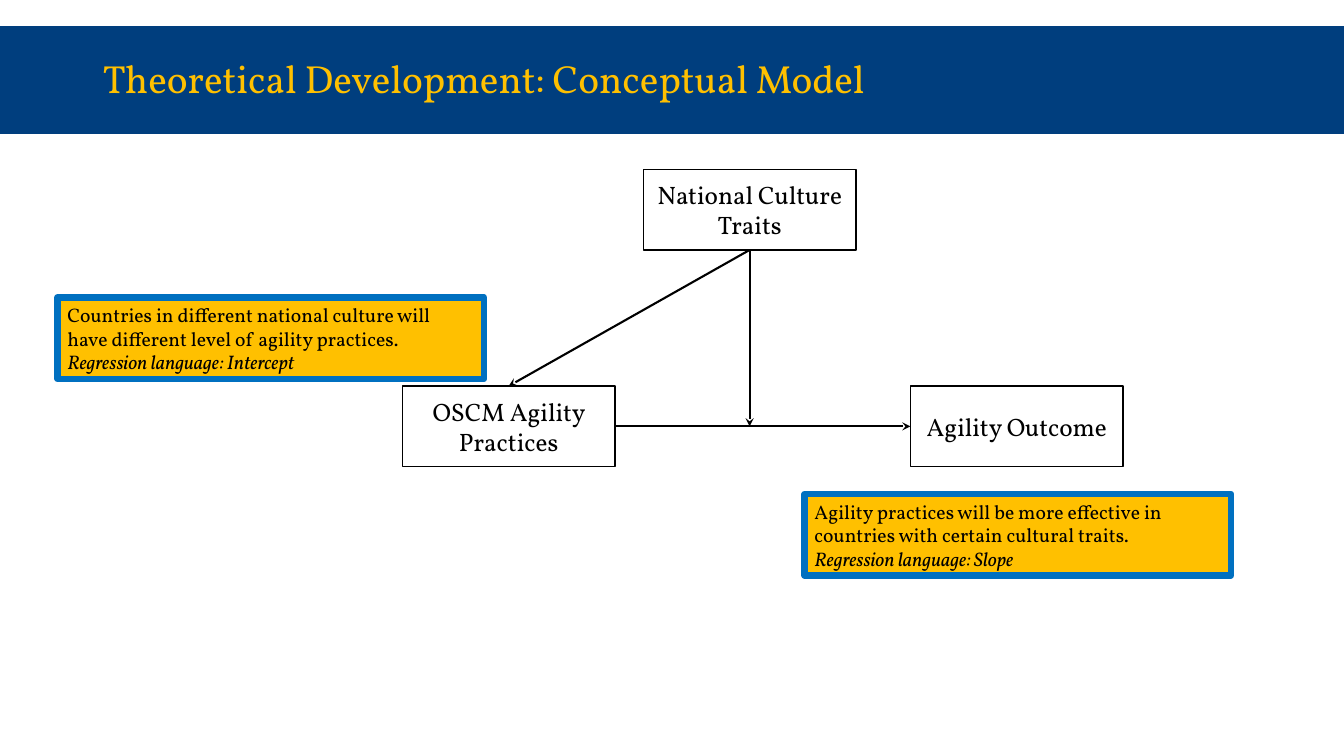
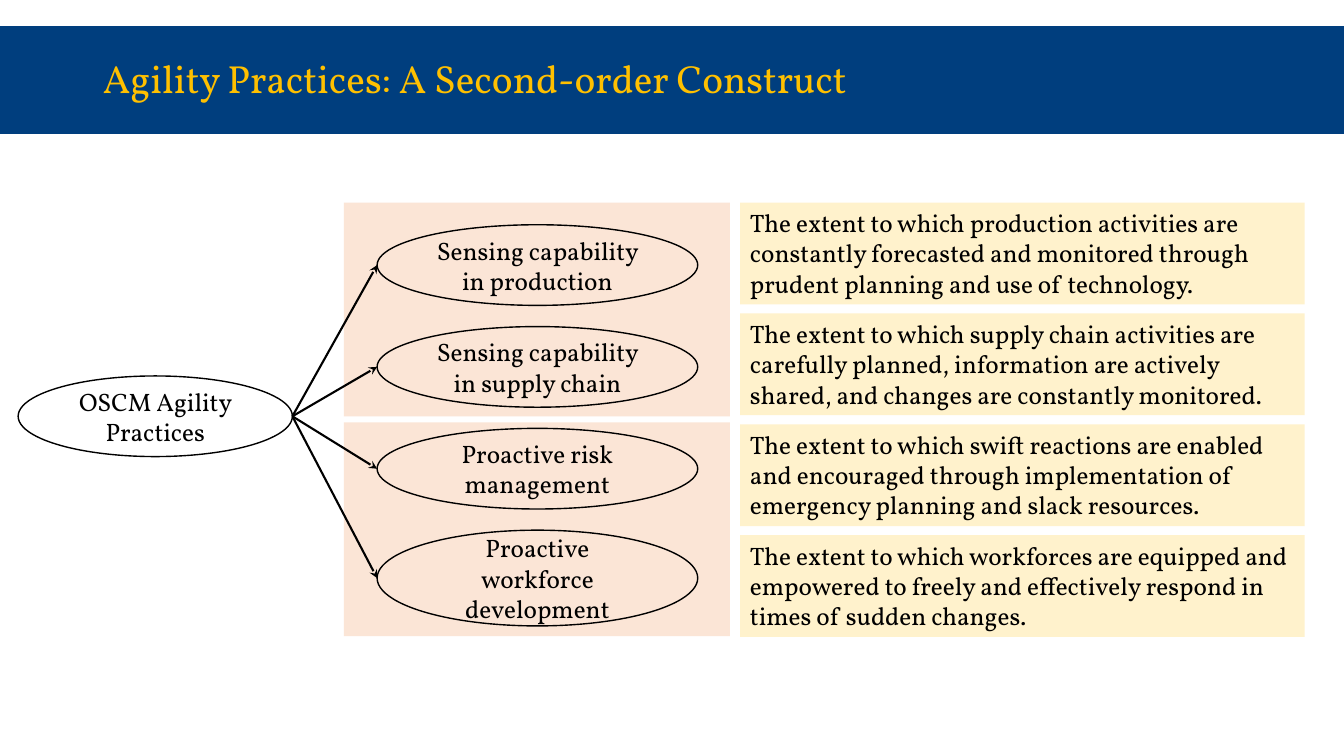
from dataclasses import dataclass

from lxml.etree import SubElement
from pptx import Presentation
from pptx.dml.color import RGBColor
from pptx.enum.shapes import MSO_CONNECTOR, MSO_SHAPE
from pptx.enum.text import MSO_ANCHOR, MSO_AUTO_SIZE, PP_ALIGN
from pptx.oxml.ns import qn
from pptx.util import Inches, Pt


@dataclass(frozen=True)
class Theme:
    font: str = "Vollkorn"
    band: str = "003E7E"
    gold: str = "FFC000"
    ink: str = "000000"
    frame: str = "0070C0"
    peach: str = "FBE5D6"
    cream: str = "FFF2CC"
    title_size: int = 28
    body_size: int = 18
    note_size: int = 14
    outline: float = 1
    arrow: float = 1.5
    note_outline: float = 4.5


THEME = Theme()
SLIDE_W, SLIDE_H = 13.33, 7.5
NODE_H = 0.8


def rgb(value):
    return RGBColor.from_string(value)


def add_run(p, text, size, color=THEME.ink, italic=None):
    r = p.add_run()
    r.text = text
    r.font.name = THEME.font
    r.font.size = Pt(size)
    r.font.color.rgb = rgb(color)
    r.font.italic = italic


def add_box(slide, box, kind=MSO_SHAPE.RECTANGLE, fill=None, line=None,
            width=THEME.outline):
    sp = slide.shapes.add_shape(kind, *map(Inches, box))
    sp.shadow.inherit = False
    if fill:
        sp.fill.solid()
        sp.fill.fore_color.rgb = rgb(fill)
    else:
        sp.fill.background()
    if line:
        sp.line.color.rgb = rgb(line)
        sp.line.width = Pt(width)
    else:
        sp.line.fill.background()
    return sp


def add_text(sp, lines, size, align=PP_ALIGN.LEFT, anchor=MSO_ANCHOR.MIDDLE):
    """Fill a shape with (text, italic) lines, one paragraph each."""
    tf = sp.text_frame
    tf.word_wrap = True
    tf.vertical_anchor = anchor
    for i, (text, italic) in enumerate(lines):
        p = tf.add_paragraph() if i else tf.paragraphs[0]
        p.alignment = align
        add_run(p, text, size, italic=italic)


def add_node(slide, box, text, kind=MSO_SHAPE.RECTANGLE):
    sp = add_box(slide, box, kind, line=THEME.ink)
    add_text(sp, [(text, None)], THEME.body_size, PP_ALIGN.CENTER)
    return sp


def add_note(slide, box, statement, term):
    sp = add_box(slide, box, fill=THEME.gold, line=THEME.frame,
                 width=THEME.note_outline)
    add_text(sp, [(statement, None), (term, True)], THEME.note_size)


def add_arrow(slide, start, end):
    cn = slide.shapes.add_connector(MSO_CONNECTOR.STRAIGHT,
                                    *map(Inches, (*start, *end)))
    cn.line.color.rgb = rgb(THEME.ink)
    cn.line.width = Pt(THEME.arrow)
    SubElement(cn.line._get_or_add_ln(), qn("a:tailEnd"), type="stealth")
    SubElement(cn.element.spPr, qn("a:effectLst"))
    return cn


def add_slide(prs, layout, title):
    slide = prs.slides.add_slide(layout)
    tf = slide.shapes.title.text_frame
    tf.vertical_anchor = MSO_ANCHOR.MIDDLE
    tf.auto_size = MSO_AUTO_SIZE.NONE
    p = tf.paragraphs[0]
    p.alignment = PP_ALIGN.LEFT
    p.line_spacing = 0.9
    add_run(p, title, THEME.title_size, THEME.gold)
    return slide


def style_layout(layout, slide):
    """Place the shared title and move one band behind it on the layout."""
    title = next(ph for ph in layout.placeholders
                 if ph.placeholder_format.idx == 0)
    title.left, title.top, title.width, title.height = map(
        Inches, (0.92, 0.4, 11.5, 0.8))
    band = add_box(slide, (0, 0.26, SLIDE_W, 1.07), fill=THEME.band)
    band.element.nvSpPr.cNvPr.set("id", "20")
    layout.shapes.element.insert(2, band.element)


def draw_model(slide, x, y):
    """Three linked boxes with two notes, from the model's top left."""
    w, row = 2.11, y + 2.15
    practices = add_node(slide, (x + 3.42, row, w, NODE_H),
                         "OSCM Agility Practices")
    outcome = add_node(slide, (x + 8.46, row, w, NODE_H), "Agility Outcome")
    culture = add_node(slide, (x + 5.81, y, w, NODE_H),
                       "National Culture Traits")

    # Arrows: practices to outcome, culture to that path and to practices
    mid = row + NODE_H / 2
    source = (x + 5.81 + w / 2, y + NODE_H)
    effect = add_arrow(slide, (x + 3.42 + w, mid), (x + 8.46, mid))
    effect.begin_connect(practices, 3)
    effect.end_connect(outcome, 1)
    slope = add_arrow(slide, source, (source[0], mid))
    slope.begin_connect(culture, 2)
    intercept = add_arrow(slide, source, (x + 3.42 + w / 2, row))
    intercept.begin_connect(culture, 2)
    intercept.end_connect(practices, 0)

    # Notes
    add_note(slide, (x, y + 1.27, 4.23, 0.81),
             "Countries in different national culture will have different "
             "level of agility practices.", "Regression language: Intercept")
    add_note(slide, (x + 7.41, y + 3.22, 4.23, 0.81),
             "Agility practices will be more effective in countries with "
             "certain cultural traits.", "Regression language: Slope")


DIMENSIONS = [
    ("Sensing capability in production", NODE_H,
     "The extent to which production activities are constantly forecasted "
     "and monitored through prudent planning and use of technology."),
    ("Sensing capability in supply chain", NODE_H,
     "The extent to which supply chain activities are carefully planned, "
     "information are actively shared, and changes are constantly monitored."),
    ("Proactive risk management", NODE_H,
     "The extent to which swift reactions are enabled and encouraged through "
     "implementation of emergency planning and slack resources."),
    ("Proactive workforce development", 0.95,
     "The extent to which workforces are equipped and empowered to freely and "
     "effectively respond in times of sudden changes."),
]


def draw_construct(slide, x, y):
    """One construct fanning out to its dimensions and their definitions."""
    # Panels behind each pair of dimensions
    for i in range(2):
        add_box(slide, (x + 3.23, y + i * 2.18, 3.83, 2.12), fill=THEME.peach)

    # Construct
    add_node(slide, (x, y + 1.72, 2.72, NODE_H), "OSCM Agility Practices",
             MSO_SHAPE.OVAL)
    hub = (x + 2.72, y + 1.72 + NODE_H / 2)

    # Dimensions, arrows and definitions
    for i, (name, height, meaning) in enumerate(DIMENSIONS):
        left, top = x + 3.56, y + 0.22 + i * 1.01
        add_node(slide, (left, top, 3.18, height), name, MSO_SHAPE.OVAL)
        add_arrow(slide, hub, (left, top + height / 2))
        sp = add_box(slide, (x + 7.16, y + i * 1.1, 5.6, 1.01),
                     fill=THEME.cream)
        add_text(sp, [(meaning, None)], THEME.body_size,
                 anchor=MSO_ANCHOR.TOP)


def main():
    prs = Presentation()
    prs.slide_width, prs.slide_height = Inches(SLIDE_W), Inches(SLIDE_H)
    layout = prs.slide_layouts.get_by_name("Title Only")

    model = add_slide(prs, layout, "Theoretical Development: Conceptual Model")
    style_layout(layout, model)
    draw_model(model, 0.57, 1.68)

    construct = add_slide(prs, layout,
                          "Agility Practices: A Second-order Construct")
    draw_construct(construct, 0.18, 2.01)
    prs.save("out.pptx")


if __name__ == "__main__":
    main()
